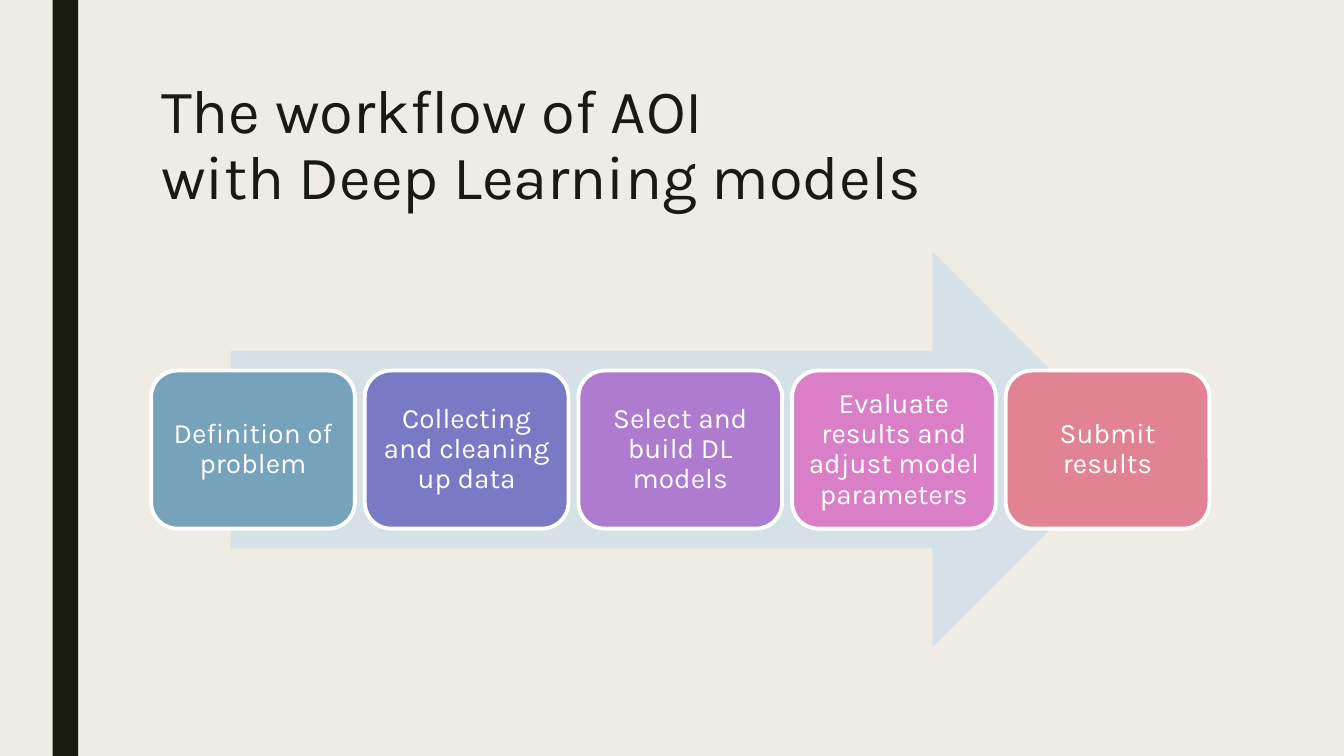
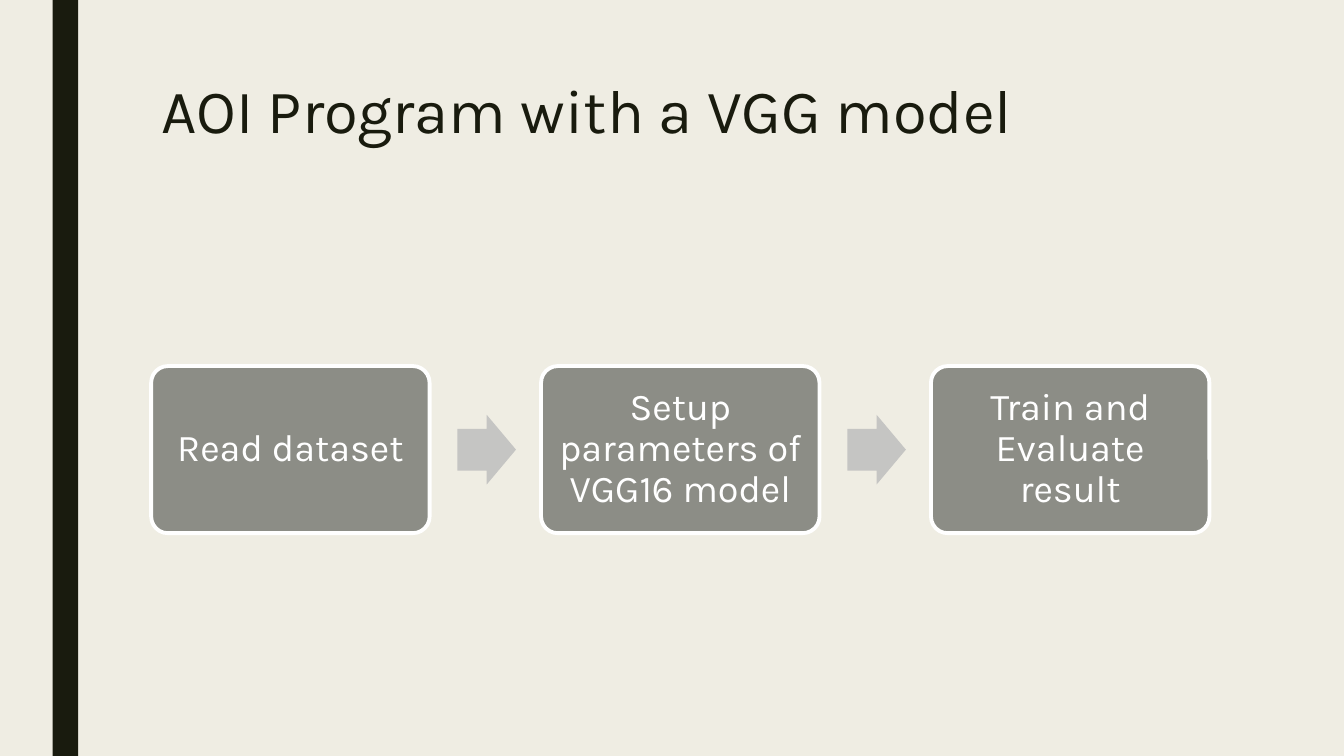
from collections import namedtuple
from dataclasses import dataclass
from pptx import Presentation
from pptx.dml.color import RGBColor as RGB
from pptx.enum.shapes import MSO_SHAPE as Geo
from pptx.enum.text import MSO_ANCHOR as Anchor, PP_ALIGN as Align
from pptx.util import Cm, Pt

# Box sides are in centimetres
Box = namedtuple("Box", "x y w h")


@dataclass(frozen=True)
class Theme:
    font: str = "Karla"
    paper: str = "EFEDE3"
    ink: str = "191B0E"
    white: str = "FFFFFF"
    pale: str = "D6E0E7"
    gray: str = "8C8D86"
    light: str = "C5C5C3"
    hues: tuple = ("77A2BB", "797AC6", "AE7BD0", "DA7FC7", "E28394")
    title: int = 44
    small: int = 20
    large: int = 27
    edge: float = 2.75


theme = Theme()
page = Box(0, 0, 33.87, 19.05)
band = Box(1.33, 0, 0.64, page.h)
head = Box(3.81, 1.91, 26.67, 4.11)
body = Box(3.81, 6.35, 26.67, 9.96)


def apply(item, form):
    for name, value in form.items():
        setattr(item, name, value)


def place(box):
    return [Cm(side) for side in box]


def middle(box, x, w, h):
    """Return a box of the given size, centred vertically within box."""
    return Box(x, box.y + (box.h - h) / 2, w, h)


def write(shape, text, size, color, frame, para):
    apply(shape.text_frame, {"word_wrap": True, **frame})
    line = shape.text_frame.paragraphs[0]
    line.text = text
    apply(line, para)
    apply(line.font, {"name": theme.font, "size": Pt(size)})
    line.font.color.rgb = RGB.from_string(color)


def draw(slide, geo, box, fill, adjust=()):
    shape = slide.shapes.add_shape(geo, *place(box))
    shape.shadow.inherit = False
    shape.fill.solid()
    shape.fill.fore_color.rgb = RGB.from_string(fill)
    shape.line.fill.background()
    for i, value in enumerate(adjust):
        shape.adjustments[i] = value
    return shape


def card(slide, box, text, fill, size, inset, adjust=()):
    shape = draw(slide, Geo.ROUNDED_RECTANGLE, box, fill, adjust)
    shape.line.color.rgb = RGB.from_string(theme.white)
    shape.line.width = Pt(theme.edge)
    sides = ("left", "top", "right", "bottom")
    frame = {f"margin_{side}": Cm(inset) for side in sides}
    frame["vertical_anchor"] = Anchor.MIDDLE
    write(shape, text, size, theme.white, frame,
          {"alignment": Align.CENTER, "line_spacing": 0.9})


# Shared page: background, side band and title
def start(deck, title):
    slide = deck.slides.add_slide(deck.slide_layouts[6])
    slide.background.fill.solid()
    slide.background.fill.fore_color.rgb = RGB.from_string(theme.paper)
    draw(slide, Geo.RECTANGLE, band, theme.ink)
    label = slide.shapes.add_textbox(*place(head))
    write(label, title, theme.title, theme.ink,
          {"vertical_anchor": Anchor.TOP}, {"line_spacing": 0.89})
    return slide


# Coloured cards in a row on one wide arrow
def flow(slide, box, steps):
    wide = box.w * 0.85
    draw(slide, Geo.RIGHT_ARROW,
         middle(box, box.x + (box.w - wide) / 2, wide, box.h), theme.pale)
    gap = 0.25
    w = (box.w - gap * (len(steps) - 1)) / len(steps)
    for i, (text, hue) in enumerate(zip(steps, theme.hues)):
        spot = middle(box, box.x + i * (w + gap), w, box.h * 0.4)
        card(slide, spot, text, hue, theme.small, 0.2)


# Gray cards with a small arrow in each gap
def chain(slide, box, steps):
    share = 0.4
    w = box.w / (len(steps) + share * (len(steps) - 1))
    for i, text in enumerate(steps):
        x = box.x + i * w * (1 + share)
        if i:
            spot = middle(box, x - w * 0.3, w * 0.21, w * 0.25)
            draw(slide, Geo.RIGHT_ARROW, spot, theme.light, (0.6, 0.5))
        card(slide, middle(box, x, w, w * 0.6), text,
             theme.gray, theme.large, 0.28, (0.1,))


deck = Presentation()
apply(deck, {"slide_width": Cm(page.w), "slide_height": Cm(page.h)})

flow(start(deck, "The workflow of AOI\vwith Deep Learning models"), body, (
    "Definition of problem",
    "Collecting and cleaning up data",
    "Select and build DL models",
    "Evaluate results and adjust model parameters",
    "Submit results",
))
chain(start(deck, "AOI Program with a VGG model"), body, (
    "Read dataset",
    "Setup parameters of VGG16 model",
    "Train and Evaluate result",
))

deck.save("out.pptx")
